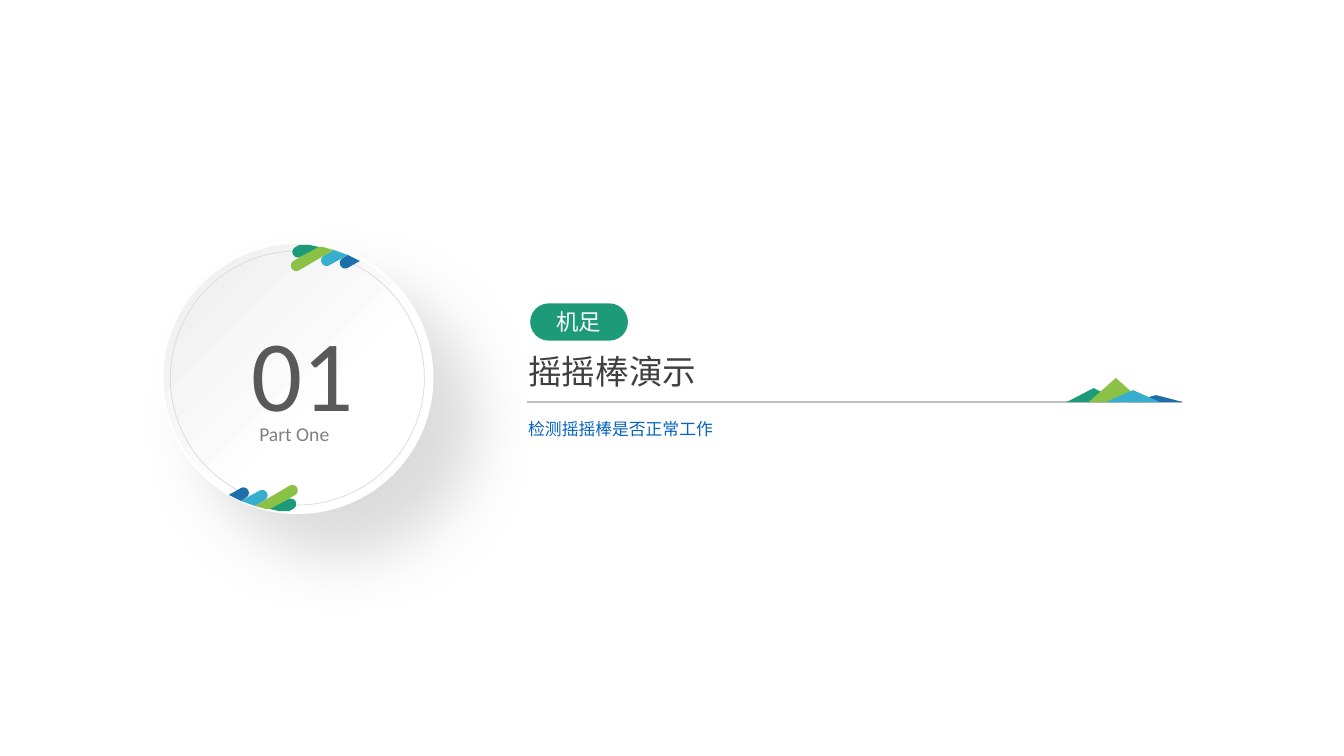
from dataclasses import dataclass
from math import cos, radians, sin

from lxml import etree
from pptx import Presentation
from pptx import util as u
from pptx.dml.color import RGBColor
from pptx.enum import shapes, text
from pptx.oxml import ns

WHITE = RGBColor(0xFF, 0xFF, 0xFF)
TEAL = RGBColor(0x1D, 0x9A, 0x78)
LIME = RGBColor(0x8B, 0xC1, 0x45)
CYAN = RGBColor(0x36, 0xAF, 0xCE)
BLUE = RGBColor(0x1D, 0x6F, 0xA9)
PALE = RGBColor(0xEC, 0xEC, 0xEC)
RING = RGBColor(0xD9, 0xD9, 0xD9)
RULE = RGBColor(0xBF, 0xBF, 0xBF)
NUMBER = RGBColor(0x59, 0x59, 0x59)
PART = RGBColor(0x80, 0x80, 0x80)
HEADING = RGBColor(0x40, 0x40, 0x40)
LINK = RGBColor(0x05, 0x63, 0xC1)

ROWS = 75
CAP_RADIUS = 0.54
BADGE_TURN = (29.2, 37.5)
BASELINE = 39.9
PEAK_WIDTH = 5.4

deck = Presentation()
deck.slide_width, deck.slide_height = u.Inches(13.333), u.Inches(7.5)
CELL = deck.slide_height / ROWS  # square grid cell

Point = tuple[float, float]


@dataclass(frozen=True)
class Area:
    """A rectangle in grid cells."""
    left: float
    top: float
    width: float
    height: float


@dataclass(frozen=True)
class Stripe:
    """A slanted stripe with a round cap, cut off by the badge rim."""
    color: RGBColor
    cap: Point
    rim: tuple[Point, ...]


@dataclass(frozen=True)
class Peak:
    """A mountain standing on the rule."""
    color: RGBColor
    left: float
    height: float


STRIPES = (
    Stripe(CYAN, (32.4, 25.85), ((33.1, 24.8), (34.5, 25.3))),
    Stripe(LIME, (29.4, 26.35), ((31.5, 24.5), (32, 24.5), (33.1, 24.8))),
    Stripe(TEAL, (29.55, 25), ((29.7, 24.3), (30.7, 24.3), (31.6, 24.5))),
    Stripe(BLUE, (34.25, 26.1), ((34.5, 25.3), (35.7, 25.9))),
)
PEAKS = (
    Peak(TEAL, 105.8, 1.4),
    Peak(LIME, 108, 2.4),
    Peak(BLUE, 112, 0.7),
    Peak(CYAN, 109.7, 1.2),
)


def cells(count: float) -> u.Emu:
    """Turn grid cells into a length."""
    return u.Emu(round(count * CELL))


def place(box, area: Area) -> None:
    """Move a box onto its grid area."""
    box.left, box.top = cells(area.left), cells(area.top)
    box.width, box.height = cells(area.width), cells(area.height)


def add_plain(kind, area: Area, fill: RGBColor | None = None):
    """Add a preset shape without line or shadow."""
    box = page.shapes.add_shape(
        kind, *map(cells, (area.left, area.top, area.width, area.height)))
    finish(box, fill)
    return box


def finish(box, fill: RGBColor | None) -> None:
    """Give a shape a flat fill, or none, and drop line and shadow."""
    box.shadow.inherit = False
    box.line.fill.background()
    if fill is None:
        box.fill.background()
    else:
        box.fill.solid()
        box.fill.fore_color.rgb = fill


def set_line(item, color: RGBColor, points: float) -> None:
    """Colour and size an outline or a connector."""
    item.line.color.rgb = color
    item.line.width = u.Pt(points)


def write(words: str, area: Area, *, size: float, color: RGBColor, box=None,
          font: str = "Calibri", align=text.PP_ALIGN.CENTER,
          spacing: float = 1.0) -> None:
    """Write one formatted line into a placeholder or a new text box."""
    if box is None:
        box = page.shapes.add_textbox(0, 0, 0, 0)
    place(box, area)
    frame = box.text_frame
    frame.word_wrap = True
    frame.auto_size = text.MSO_AUTO_SIZE.NONE
    frame.vertical_anchor = text.MSO_ANCHOR.TOP
    para = frame.paragraphs[0]
    para.alignment, para.line_spacing = align, spacing
    para.space_before = u.Pt(0)
    span = para.add_run()
    span.text = words
    span.font.name, span.font.size = font, u.Pt(size)
    span.font.bold = False
    span.font.color.rgb = color


def add_glow(box) -> None:
    """Cast a soft grey shadow to the lower right."""
    effects = box.element.spPr.find(ns.qn("a:effectLst"))
    shadow = etree.SubElement(
        effects, ns.qn("a:outerShdw"), blurRad=str(u.Pt(44)),
        dist=str(u.Pt(42)), dir="2700000", algn="tl", rotWithShape="0")
    tone = etree.SubElement(shadow, ns.qn("a:srgbClr"), val="A6A6A6")
    etree.SubElement(tone, ns.qn("a:alpha"), val="40000")


def add_badge() -> None:
    """Draw the round badge with its inner ring."""
    disc = add_plain(shapes.MSO_SHAPE.OVAL, Area(16.1, 24.1, 26.8, 26.8))
    disc.fill.gradient()
    disc.fill.gradient_angle = 135
    for stop, color, position in zip(
            disc.fill.gradient_stops, (WHITE, PALE), (0.36, 1)):
        stop.color.rgb, stop.position = color, position
    set_line(disc, WHITE, 1.5)
    add_glow(disc)
    ring = add_plain(shapes.MSO_SHAPE.OVAL, Area(16.9, 24.9, 25.2, 25.2))
    set_line(ring, RING, 0.5)


def add_stripe(stripe: Stripe, turned: bool) -> None:
    """Draw a stripe at the top, or turned half round at the bottom."""
    cap_x, cap_y = stripe.cap
    arc = [(cap_x + CAP_RADIUS * cos(radians(angle)),
            cap_y + CAP_RADIUS * sin(radians(angle)))
           for angle in range(60, 241, 15)]
    points = [*arc, *stripe.rim]
    if turned:
        turn_x, turn_y = BADGE_TURN
        points = [(2 * turn_x - x, 2 * turn_y - y) for x, y in points]
    start, *rest = [(cells(x), cells(y)) for x, y in points]
    builder = page.shapes.build_freeform(*start)
    builder.add_line_segments(rest)
    finish(builder.convert_to_shape(), stripe.color)


def add_rule() -> None:
    """Draw the thin rule under the heading."""
    rule = page.shapes.add_connector(
        shapes.MSO_CONNECTOR.STRAIGHT,
        *map(cells, (52.3, BASELINE, 117.3, BASELINE)))
    set_line(rule, RULE, 1)
    etree.SubElement(rule.element.spPr, ns.qn("a:effectLst"))


page = deck.slides.add_slide(deck.slide_layouts.get_by_name("Section Header"))
title, body = page.placeholders

pill = add_plain(shapes.MSO_SHAPE.ROUNDED_RECTANGLE,
                 Area(52.6, 30.1, 9.7, 3.7), TEAL)
pill.adjustments[0] = 0.5
add_badge()
for turned in (False, True):
    for stripe in STRIPES:
        add_stripe(stripe, turned)

write("01", Area(16.7, 30.3, 26.7, 13.1), size=72, color=NUMBER)
write("Part One", Area(21.1, 41.4, 16.2, 3.4), size=14, color=PART)
write("摇摇棒演示", Area(51.4, 34.3, 30.4, 5), size=24, color=HEADING,
      box=title, align=text.PP_ALIGN.LEFT)
write("检测摇摇棒是否正常工作", Area(51.4, 40.6, 67.5, 3.3), size=12,
      color=LINK, box=body, align=text.PP_ALIGN.LEFT, spacing=1.2)
write("机足", Area(50.4, 30.1, 14, 3.7), size=16, color=WHITE,
      font="Noto Sans CJK SC")

add_rule()
for peak in PEAKS:
    add_plain(shapes.MSO_SHAPE.ISOSCELES_TRIANGLE,
              Area(peak.left, BASELINE - peak.height, PEAK_WIDTH, peak.height),
              peak.color)

deck.save("out.pptx")
